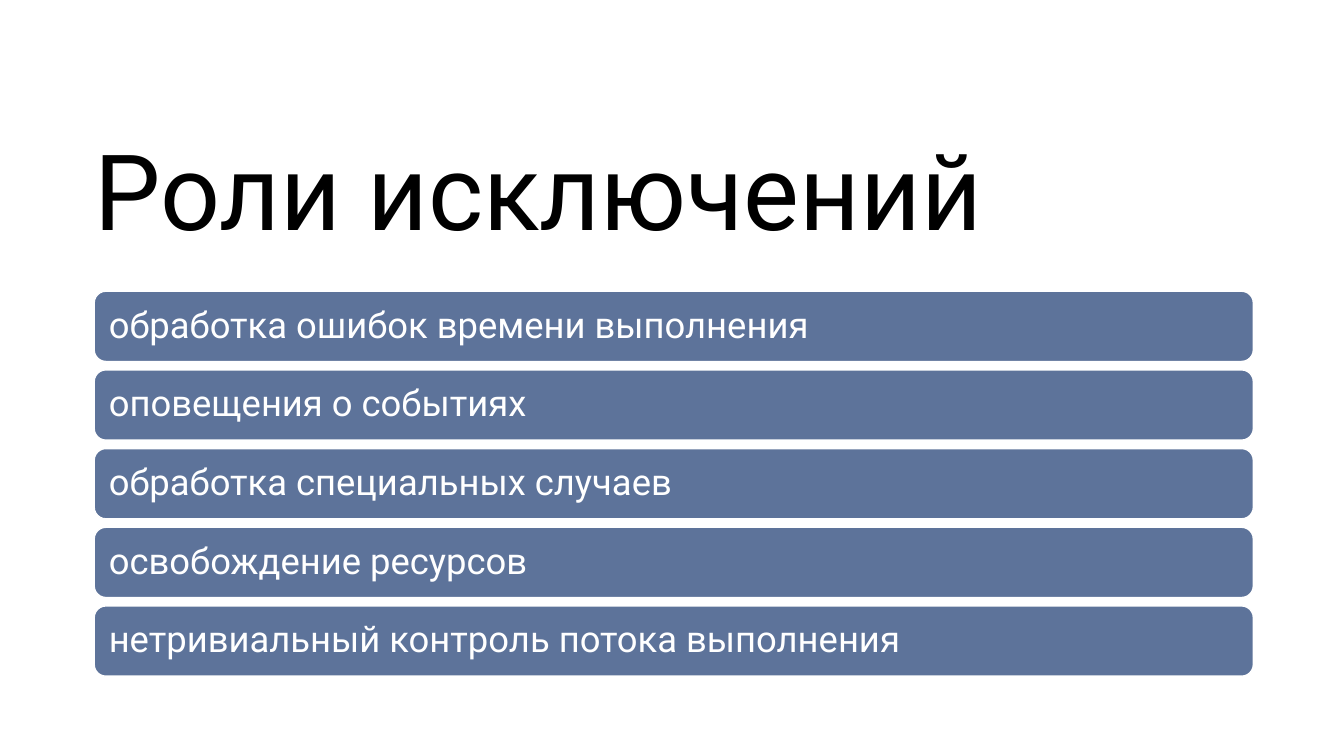
from pptx import Presentation
from pptx import util as u
from pptx.dml.color import RGBColor
from pptx.enum import shapes, text


def color(hex_value):
    return RGBColor.from_string(hex_value)


def write(shape, wording, size, hex_value, inset):
    frame = shape.text_frame
    frame.text = wording
    frame_format = {
        "word_wrap": True,
        "auto_size": text.MSO_AUTO_SIZE.NONE,
        "vertical_anchor": text.MSO_ANCHOR.MIDDLE,
        "margin_left": u.Pt(inset),
        "margin_top": u.Pt(inset),
        "margin_right": u.Pt(inset),
        "margin_bottom": u.Pt(inset),
    }
    for name, value in frame_format.items():
        setattr(frame, name, value)
    paragraph = frame.paragraphs[0]
    paragraph.alignment = text.PP_ALIGN.LEFT
    paragraph.line_spacing = 0.9
    font = paragraph.runs[0].font
    for name, value in {"name": "Roboto", "size": u.Pt(size)}.items():
        setattr(font, name, value)
    font.color.rgb = color(hex_value)


presentation = Presentation()
presentation.slide_width = u.Pt(960)
presentation.slide_height = u.Pt(540)
slide = presentation.slides.add_slide(presentation.slide_layouts[5])

title = slide.shapes.title
title_box = {"left": 67.5, "top": 88, "width": 828, "height": 104.4}
for name, value in title_box.items():
    setattr(title, name, u.Pt(value))
write(title, "Роли исключений", 75.2, "000000", 0)

roles = [
    "обработка ошибок времени выполнения",
    "оповещения о событиях",
    "обработка специальных случаев",
    "освобождение ресурсов",
    "нетривиальный контроль потока выполнения",
]
bar_left, first_top, bar_width, bar_height, bar_step = 67.3, 208, 828, 50.2, 56.2

for index, role in enumerate(roles):
    bar = slide.shapes.add_shape(
        shapes.MSO_SHAPE.ROUNDED_RECTANGLE,
        u.Pt(bar_left), u.Pt(first_top + index * bar_step),
        u.Pt(bar_width), u.Pt(bar_height),
    )
    bar.shadow.inherit = False
    bar.fill.solid()
    bar.fill.fore_color.rgb = color("5D739A")
    bar.line.color.rgb = color("FFFFFF")
    bar.line.width = u.Pt(1)
    write(bar, role, 26, "FFFFFF", 8)

presentation.save("out.pptx")
